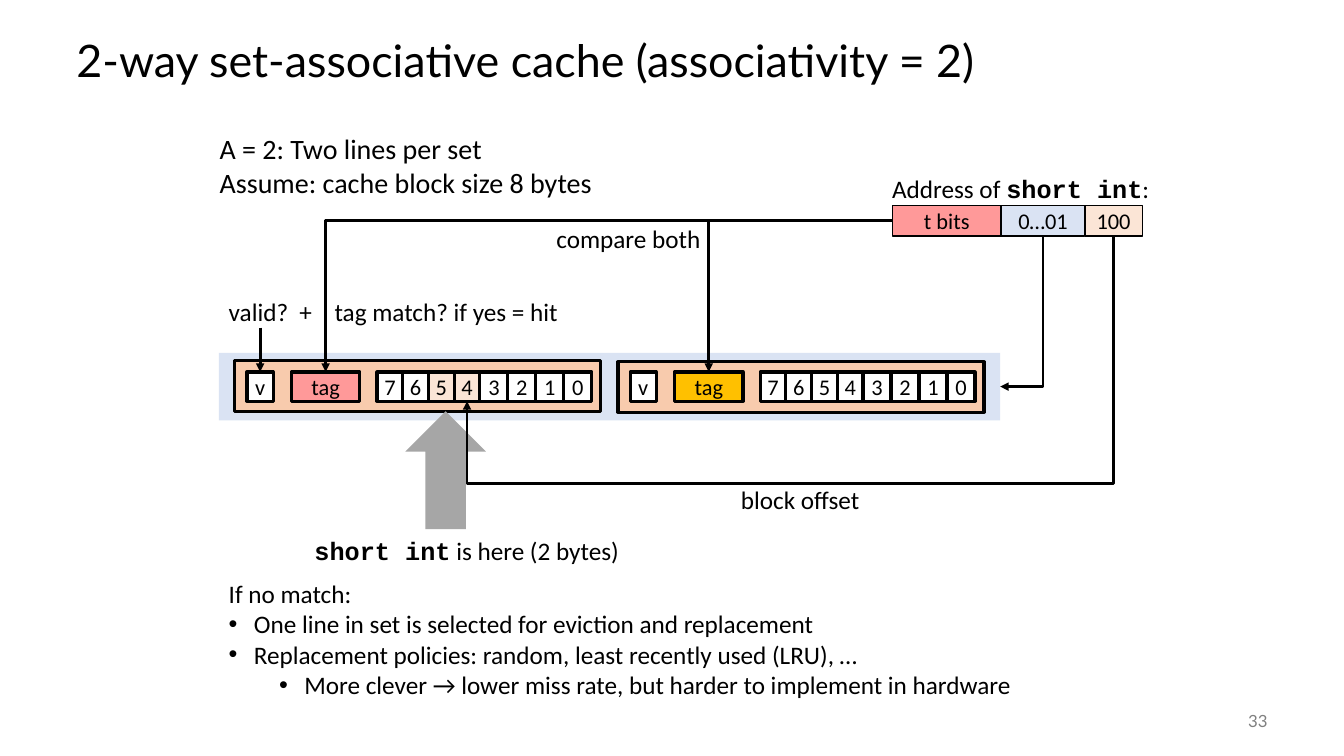
from lxml import etree
from pptx import Presentation
from pptx.dml.color import RGBColor
from pptx.enum.shapes import MSO_CONNECTOR, MSO_SHAPE
from pptx.enum.text import MSO_ANCHOR, MSO_AUTO_SIZE, PP_ALIGN
from pptx.oxml.ns import qn
from pptx.util import Inches, Pt

RECT, UP_ARROW = MSO_SHAPE.RECTANGLE, MSO_SHAPE.UP_ARROW
STRAIGHT, ELBOW = MSO_CONNECTOR.STRAIGHT, MSO_CONNECTOR.ELBOW
MIDDLE, TOP = MSO_ANCHOR.MIDDLE, MSO_ANCHOR.TOP
LEFT, CENTER, RIGHT = PP_ALIGN.LEFT, PP_ALIGN.CENTER, PP_ALIGN.RIGHT
FIT_SHAPE = MSO_AUTO_SIZE.SHAPE_TO_FIT_TEXT
SITE_TOP, SITE_LEFT, SITE_BOTTOM, SITE_RIGHT = range(4)
BODY, CODE, HEADING = "Calibri", "Courier New", "Lato"

COLORS = {
    "black": "000000", "white": "FFFFFF", "gray": "808080", "arrow": "A6A6A6",
    "tag": "FF9999", "other tag": "FFC000", "set": "DAE3F3",
    "offset": "FBE5D6", "line": "F8CBAD",
}

# Content
TITLE = "2-way set-associative cache (associativity = 2)"
PAGE_NUMBER = "33"
# Labels: position and size, font size, paragraphs of (text, font) runs
LABELS = [
    ((2.08, 1.26, 3.93, 0.77), 20, [[("A = 2: Two lines per set", BODY)],
                                    [("Assume: cache block size 8 bytes", BODY)]]),
    ((8.75, 1.67, 2.77, 0.4), 18, [[("Address of ", BODY), ("short int", CODE), (":", BODY)]]),
    ((5.42, 2.17, 1.67, 0.4), 18, [[("compare both", BODY)]]),
    ((2.17, 2.89, 1.12, 0.4), 18, [[("valid?\t+", BODY)]]),
    ((3.22, 2.89, 2.49, 0.4), 18, [[("tag match? if yes = hit", BODY)]]),
    ((7.25, 4.76, 1.42, 0.4), 18, [[("block offset", BODY)]]),
    ((3.02, 5.26, 3.25, 0.4), 18, [[("short int", CODE), (" is here (2 bytes)", BODY)]]),
]
PLUS_TAB = 0.7
# Replacement notes: left indent in inches (0 means no bullet), text
NOTES = [
    (0, "If no match:"),
    (0.25, "One line in set is selected for eviction and replacement"),
    (0.25, "Replacement policies: random, least recently used (LRU), …"),
    (0.75, "More clever → lower miss rate, but harder to implement in hardware"),
]
# Address fields: text, width, colour
ADDRESS = [("t bits", 1.08, "tag"), ("0…01", 0.83, "set"), ("100", 0.57, "offset")]
ADDRESS_LEFT, ADDRESS_TOP, ADDRESS_HEIGHT = 8.85, 2.04, 0.3
# Cache lines: left, top, tag colour, bytes that hold the short int
CACHE_LINES = [(2.33, 3.58, "tag", "54"), (6.13, 3.59, "other tag", "")]
# Byte groups: labels, offset from the cache line's left, group width
BYTE_GROUPS = [("7654", 1.41, 1.02), ("3210", 2.43, 1.11)]
CELL_TOP, CELL_HEIGHT = 3.69, 0.29

deck = Presentation()
deck.slide_width, deck.slide_height = Inches(13.33), Inches(7.5)
page = deck.slides.add_slide(deck.slide_layouts[6])


def color(name):
    return RGBColor.from_string(COLORS[name])


def add_span(para, text, size, font=BODY, ink="black"):
    span = para.add_run()
    span.text = text
    span.font.size, span.font.name = Pt(size), font
    span.font.bold = font == CODE
    span.font.color.rgb = color(ink)


def add_box(place, fill, line_width=0, text="", kind=RECT):
    box = page.shapes.add_shape(kind, *map(Inches, place))
    box.shadow.inherit = False
    box.fill.solid()
    box.fill.fore_color.rgb = color(fill)
    if line_width:
        box.line.color.rgb = color("black")
        box.line.width = Pt(line_width)
    else:
        box.line.fill.background()
    if text:
        frame = box.text_frame
        frame.word_wrap, frame.vertical_anchor = False, MIDDLE
        frame.margin_left = frame.margin_right = 0
        frame.margin_top = frame.margin_bottom = 0
        frame.paragraphs[0].alignment = CENTER
        add_span(frame.paragraphs[0], text, 16)
    return box


def add_text(place, paragraphs, size, ink="black", align=LEFT, anchor=TOP, wrap=False):
    frame = page.shapes.add_textbox(*map(Inches, place)).text_frame
    frame.word_wrap, frame.vertical_anchor = wrap, anchor
    if not wrap:
        frame.auto_size = FIT_SHAPE
    for number, runs in enumerate(paragraphs):
        para = frame.add_paragraph() if number else frame.paragraphs[0]
        para.alignment = align
        for text, font in runs:
            add_span(para, text, size, font, ink)
            if "\t" in text:
                tabs = etree.SubElement(para._p.get_or_add_pPr(), qn("a:tabLst"))
                etree.SubElement(tabs, qn("a:tab"), pos=str(Inches(PLUS_TAB)), algn="l")
    return frame


def add_arrow(kind, begin, end):
    arrow = page.shapes.add_connector(kind, *map(Inches, begin + end))
    arrow.line.color.rgb = color("black")
    arrow.line.width = Pt(2)
    line = arrow.line._get_or_add_ln()
    etree.SubElement(line, qn("a:tailEnd"), type="triangle")
    etree.SubElement(arrow._element.spPr, qn("a:effectLst"))
    return arrow


def site(box, index):
    """Middle of a box side, in inches."""
    across, down = [(0.5, 0), (0, 0.5), (0.5, 1), (1, 0.5)][index]
    return ((box.left + across * box.width) / Inches(1),
            (box.top + down * box.height) / Inches(1))


def join(source, source_site, target, target_site, turns=1, bend=None):
    """Elbow arrow from a left side, or downwards from a bottom side."""
    begin, end = site(source, source_site), site(target, target_site)
    arrow = add_arrow(ELBOW, begin, end)
    arrow.begin_connect(source, source_site)
    arrow.end_connect(target, target_site)
    geometry = arrow._element.spPr.find(qn("a:prstGeom"))
    geometry.set("prst", f"bentConnector{turns + 1}")
    if bend:
        guides = geometry.get_or_add_avLst()
        etree.SubElement(guides, qn("a:gd"), name="adj1", fmla=f"val {int(bend * 100000)}")
    if source_site == SITE_BOTTOM:
        # A quarter turn makes the first leg run down and the next one left
        width, height = end[1] - begin[1], begin[0] - end[0]
        middle_x, middle_y = (begin[0] + end[0]) / 2, (begin[1] + end[1]) / 2
        frame = arrow._element.spPr.find(qn("a:xfrm"))
        frame.attrib.pop("flipH", None)
        frame.set("rot", str(90 * 60000))
        arrow.left, arrow.top = Inches(middle_x - width / 2), Inches(middle_y - height / 2)
        arrow.width, arrow.height = Inches(width), Inches(height)


# Title
title = add_text((0.66, 0.25, 12, 0.75), [[(TITLE, HEADING)]], 32, anchor=MIDDLE, wrap=True)
title.paragraphs[0].line_spacing = 0.9

# Address fields
fields, left = [], ADDRESS_LEFT
for text, width, fill in ADDRESS:
    fields.append(add_box((left, ADDRESS_TOP, width, ADDRESS_HEIGHT), fill, 1, text))
    left += width
tag_bits, set_index, block_offset = fields

# Cache set with its two lines
cache_set = add_box((2.17, 3.5, 7.75, 0.67), "set")
valid_cells, tag_cells, byte_cells = [], [], {}
for number, (left, top, tag_fill, used) in enumerate(CACHE_LINES):
    add_box((left, top, 3.63, 0.5), "line", 2.25)
    valid_cells.append(add_box((left + 0.12, CELL_TOP, 0.26, CELL_HEIGHT), "white", 2.25, "v"))
    tag_cells.append(add_box((left + 0.56, CELL_TOP, 0.68, CELL_HEIGHT), tag_fill, 2.25, "tag"))
    for digits, offset, group_width in BYTE_GROUPS:
        width = group_width / len(digits)
        for column, digit in enumerate(digits):
            place = (left + offset + column * width, CELL_TOP, width, CELL_HEIGHT)
            fill = "offset" if digit in used else "white"
            byte_cells[number, digit] = add_box(place, fill, 2.25, digit)

# Arrows
add_box((4.02, 4.08, 0.8, 1.17), "arrow", kind=UP_ARROW)
join(set_index, SITE_BOTTOM, cache_set, SITE_RIGHT)
for tag_cell in tag_cells:
    join(tag_bits, SITE_LEFT, tag_cell, SITE_TOP)
join(block_offset, SITE_BOTTOM, byte_cells[0, "4"], SITE_BOTTOM, turns=2, bend=1.5)
valid_x, valid_y = site(valid_cells[0], SITE_TOP)
valid_arrow = add_arrow(STRAIGHT, (valid_x, 3.25), (valid_x, valid_y))
valid_arrow.end_connect(valid_cells[0], SITE_TOP)

# Labels
for place, size, paragraphs in LABELS:
    add_text(place, paragraphs, size)

# Replacement notes
notes = add_text((2.17, 5.69, 8.05, 1.31), [[(text, BODY)] for _, text in NOTES], 18)
for para, (indent, _) in zip(notes.paragraphs, NOTES):
    if indent:
        para.level = 1 if indent > 0.5 else 0
        properties = para._p.get_or_add_pPr()
        properties.set("marL", str(Inches(indent)))
        properties.set("indent", str(Inches(-0.25)))
        etree.SubElement(properties, qn("a:buFont"), typeface="Arial")
        etree.SubElement(properties, qn("a:buChar"), char="•")

# Page number
add_text((11.67, 6.95, 1, 0.4), [[(PAGE_NUMBER, HEADING)]], 12, "gray", RIGHT, MIDDLE, True)

deck.save("out.pptx")
